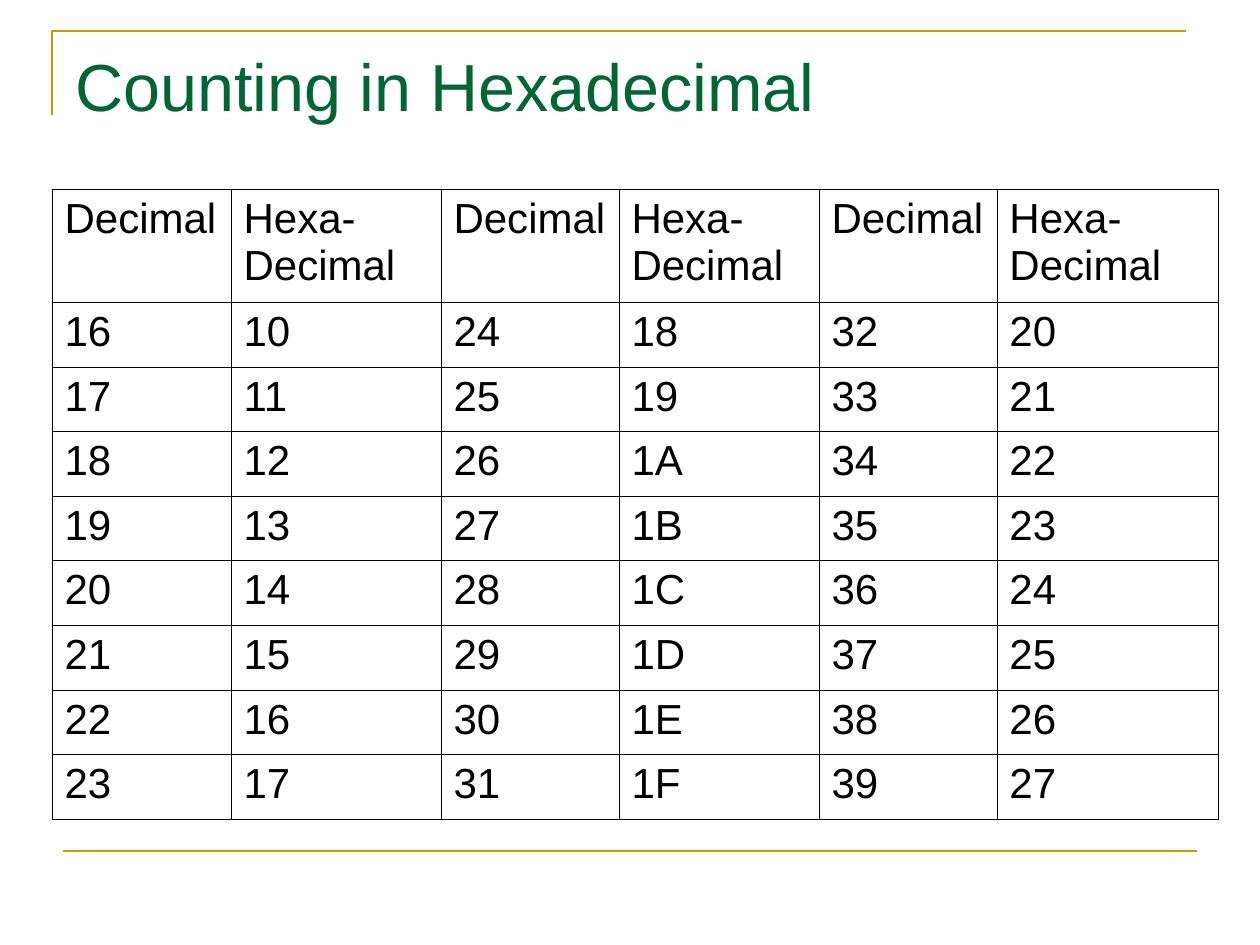
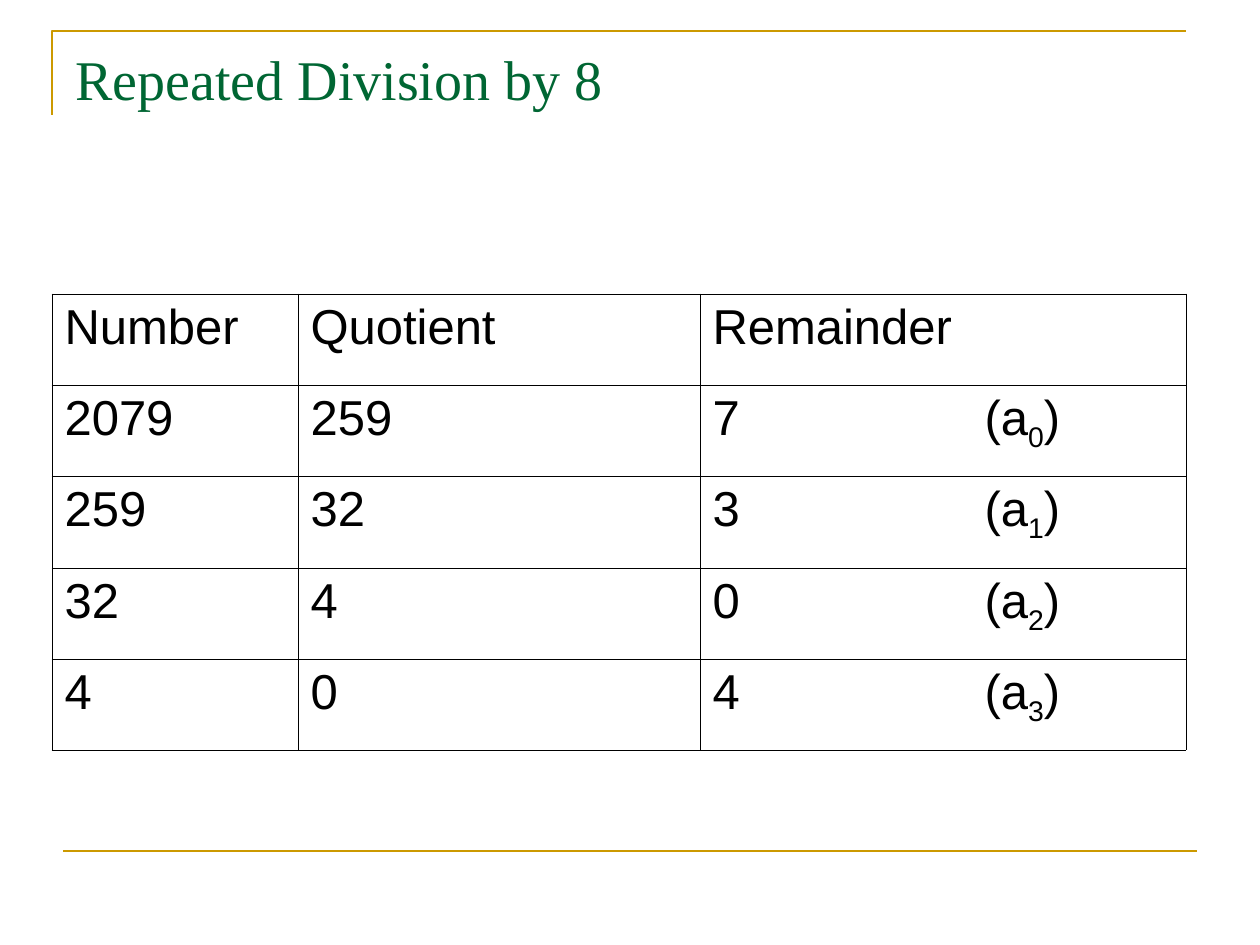
from dataclasses import dataclass

from lxml import etree
from pptx import Presentation
from pptx import util as u
from pptx.dml import color
from pptx.enum import shapes, text
from pptx.oxml import ns

PX = u.Inches(1) / 126
HUES = {"gold": "CC9900", "green": "006633", "black": "000000"}
LEFT = 52


@dataclass
class Title:
    words: str
    face: str
    size: int


@dataclass
class Grid:
    top: int
    cols: list[int]
    rows: list[int]
    cells: list[list[str]]
    size: int
    hang: int = 0
    tab: int = 0


def px(n: float) -> int:
    return round(n * PX)


def hue(name: str) -> color.RGBColor:
    return color.RGBColor.from_string(HUES[name])


def split(total: int, count: int) -> list[int]:
    marks = [round(total * i / count) for i in range(count + 1)]
    return [b - a for a, b in zip(marks, marks[1:])]


def style(font, face: str, size: int, name: str) -> None:
    font.name, font.size = face, u.Pt(size)
    font.color.rgb = hue(name)


def rule(shape) -> None:
    shape.line.color.rgb = hue("gold")
    shape.line.width = u.Pt(1.5)


def frame(slide) -> None:
    pen = slide.shapes.build_freeform(LEFT, 115, scale=PX)
    pen.add_line_segments([(LEFT, 31), (1186, 31)], close=False)
    edge = pen.convert_to_shape()
    edge.fill.background()
    edge.shadow.inherit = False
    rule(edge)
    base = slide.shapes.add_connector(
        shapes.MSO_CONNECTOR.STRAIGHT, px(63), px(851), px(1197), px(851))
    etree.SubElement(base._element.spPr, ns.qn("a:effectLst"))
    rule(base)


def head(slide, title: Title) -> None:
    box = slide.shapes.add_textbox(px(63), px(38), px(1134), px(157))
    body = box.text_frame
    body.word_wrap = True
    body.margin_top = px(7)
    para = body.paragraphs[0]
    para.text = title.words
    style(para.font, title.face, title.size, "green")


def border(cell) -> None:
    props = cell._tc.get_or_add_tcPr()
    for side in ("lnL", "lnR", "lnT", "lnB"):
        line = etree.SubElement(props, ns.qn(f"a:{side}"), w=str(u.Pt(0.45)))
        fill = etree.SubElement(line, ns.qn("a:solidFill"))
        etree.SubElement(fill, ns.qn("a:srgbClr"), val=HUES["black"])
    cell.fill.background()


def write(para, words: str, grid: Grid) -> None:
    para.alignment = text.PP_ALIGN.JUSTIFY
    style(para.font, "Arial", grid.size, "black")
    props = para._p.get_or_add_pPr()
    if grid.hang:
        props.set("marL", str(px(grid.hang)))
        props.set("indent", str(-px(grid.hang)))
    if "\t" in words:
        stops = etree.Element(ns.qn("a:tabLst"))
        etree.SubElement(stops, ns.qn("a:tab"), pos=str(px(grid.tab)), algn="l")
        props.find(ns.qn("a:defRPr")).addprevious(stops)
    for i, part in enumerate(words.split("_")):
        run = para.add_run()
        run.text = part
        if i % 2:
            run.font._element.set("baseline", "-25000")


def draw(slide, grid: Grid) -> None:
    table = slide.shapes.add_table(
        len(grid.rows), len(grid.cols), px(LEFT), px(grid.top),
        px(sum(grid.cols)), px(sum(grid.rows))).table
    table.first_row = table.horz_banding = False
    for col, wide in zip(table.columns, grid.cols):
        col.width = px(wide)
    for row, high, line in zip(table.rows, grid.rows, grid.cells):
        row.height = px(high)
        for cell, words in zip(row.cells, line):
            border(cell)
            body = cell.text_frame
            for i, item in enumerate(words.split("\n")):
                para = body.add_paragraph() if i else body.paragraphs[0]
                write(para, item, grid)


def count() -> list[list[str]]:
    rows = [["Decimal", "Hexa-\nDecimal"] * 3]
    for first in range(16, 24):
        nums = range(first, first + 24, 8)
        rows.append([word for n in nums for word in (str(n), f"{n:X}")])
    return rows


def divide(num: int, base: int) -> list[list[str]]:
    rows = [["Number", "Quotient", "Remainder"]]
    while num:
        quot, rest = divmod(num, base)
        rows.append([str(num), str(quot), f"{rest}\t(a_{len(rows) - 1}_)"])
        num = quot
    return rows


def main() -> None:
    deck = Presentation()
    deck.slide_width, deck.slide_height = px(1260), px(945)
    pages = [
        (Title("Counting in Hexadecimal", "Arial", 38),
         Grid(189, [179, 210, 178, 200, 178, 221], [113] + split(517, 8),
              count(), 24, hang=48)),
        (Title("Repeated Division by 8", "Times New Roman", 32),
         Grid(294, [246, 402, 486], split(456, 5),
              divide(2079, 8), 28, tab=272)),
    ]
    for title, grid in pages:
        slide = deck.slides.add_slide(deck.slide_layouts[6])
        frame(slide)
        head(slide, title)
        draw(slide, grid)
    deck.save("out.pptx")


if __name__ == "__main__":
    main()
